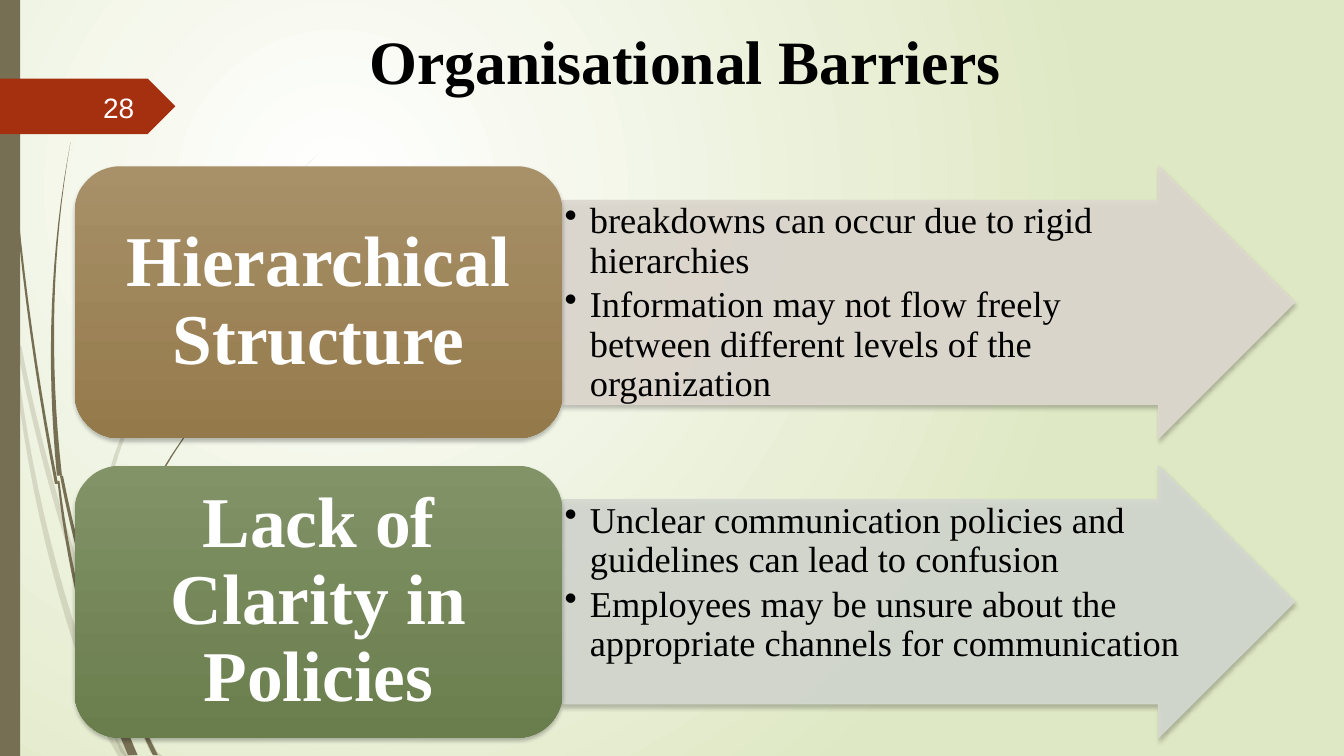
from dataclasses import dataclass

from lxml import etree
from pptx import Presentation
from pptx import util as u
from pptx.dml.color import RGBColor
from pptx.enum import shapes, text
from pptx.oxml import ns

WHITE = RGBColor(0xFF, 0xFF, 0xFF)
BLACK = RGBColor(0, 0, 0)
PALE_GREEN = RGBColor(0xDF, 0xE8, 0xC4)
OLIVE = RGBColor(0x76, 0x6F, 0x54)
RUST = RGBColor(0xA5, 0x30, 0x10)
TAN = RGBColor(0xA8, 0x90, 0x68), RGBColor(0x94, 0x7A, 0x4B)
GREEN = RGBColor(0x81, 0x93, 0x67), RGBColor(0x6A, 0x7D, 0x4D)
TAN_TINT = RGBColor(0xDF, 0xD9, 0xD0)
GREEN_TINT = RGBColor(0xD5, 0xD9, 0xD1)
SERIF = "Times New Roman"
PAGE_WIDTH, PAGE_HEIGHT = 13.33, 7.5
CURVE_STEPS = 16


@dataclass
class Strand:
    start: tuple
    bend: tuple
    end: tuple
    start_width: float
    end_width: float

    def outline(self):
        left_edge, right_edge = [], []
        for step in range(CURVE_STEPS + 1):
            t = step / CURVE_STEPS
            x, y = ((1 - t) ** 2 * a + 2 * t * (1 - t) * b + t ** 2 * c
                    for a, b, c in zip(self.start, self.bend, self.end))
            half = (self.start_width + (self.end_width - self.start_width) * t) / 2
            left_edge.append((x - half, y))
            right_edge.append((x + half, y))
        return left_edge + right_edge[::-1]


TALL_STEM = Strand((0.04, 0), (0.1, 2.4), (0.56, 4.8), 0.01, 0.03)
TALL_BLADE = Strand((0.7, 1.41), (0.41, 3.0), (0.59, 4.72), 0, 0.05)
LOWER_STEM = Strand((0.58, 4.77), (0.75, 6.25), (1.3, 7.49), 0.02, 0.06)
LOWER_BLADE = Strand((0.61, 4.72), (0.78, 5.6), (1.08, 6.45), 0.03, 0.04)
BRANCH = Strand((2.6, 3.44), (1.15, 4.85), (1.08, 6.4), 0, 0.04)
ROOT = Strand((1.08, 6.4), (1.1, 6.95), (1.34, 7.49), 0.04, 0.05)
FOOT = Strand((1.1, 6.41), (1.28, 6.97), (1.54, 7.49), 0.02, 0.05)
SPRAY = [LOWER_STEM, LOWER_BLADE, BRANCH, ROOT, FOOT]


def add_child(parent, tag, **attributes):
    return etree.SubElement(parent, ns.qn(tag), attributes)


def set_alpha(fill_owner, percent):
    for color in fill_owner.iter(ns.qn("a:srgbClr")):
        add_child(color, "a:alpha", val=str(percent * 1000))


def paint(shape, color):
    shape.fill.solid()
    shape.fill.fore_color.rgb = color
    shape.line.fill.background()
    shape.shadow.inherit = False


def set_gradient(fill, colors):
    fill.gradient()
    for stop, color in zip(fill.gradient_stops, colors):
        stop.color.rgb = color


def drop_shadow(shape):
    shape.shadow.inherit = False
    effects = shape._element.spPr.find(ns.qn("a:effectLst"))
    shadow = add_child(effects, "a:outerShdw", blurRad=str(u.Pt(3)), dist=str(u.Pt(2)),
                       dir="5400000", algn="ctr", rotWithShape="0")
    add_child(add_child(shadow, "a:srgbClr", val="000000"), "a:alpha", val="25000")


def add_preset(page, preset, box):
    return page.shapes.add_shape(preset, *map(u.Inches, box))


def add_text(page, box, lines, size, color, align, font=SERIF, bold=False,
             anchor=text.MSO_ANCHOR.TOP, margins=(0.1, 0.05), spacing=1.0):
    frame = page.shapes.add_textbox(*map(u.Inches, box)).text_frame
    frame.word_wrap = True
    frame.vertical_anchor = anchor
    frame.margin_left = frame.margin_right = u.Inches(margins[0])
    frame.margin_top = frame.margin_bottom = u.Inches(margins[1])
    frame.text = "\n".join(lines)
    for para in frame.paragraphs:
        para.alignment = align
        para.line_spacing = spacing
        para.font.name = font
        para.font.size = u.Pt(size)
        para.font.bold = bold
        para.font.color.rgb = color
    return frame


def add_bullets(frame):
    for para in frame.paragraphs:
        para.space_after = u.Pt(4)
        props = para._p.get_or_add_pPr()
        props.set("marL", str(u.Inches(0.25)))
        props.set("indent", str(u.Inches(-0.25)))
        bullet = etree.Element(ns.qn("a:buChar"), char="•")
        props.find(ns.qn("a:defRPr")).addprevious(bullet)


def add_spray(page, strands, left=0, top=0, scale=1.0, opacity=100):
    for strand in strands:
        corners = [(u.Inches(left + x * scale),
                    u.Inches(min(top + y * scale, PAGE_HEIGHT)))
                   for x, y in strand.outline()]
        builder = page.shapes.build_freeform(*corners[0])
        builder.add_line_segments(corners[1:], close=True)
        wisp = builder.convert_to_shape()
        paint(wisp, OLIVE)
        if opacity < 100:
            set_alpha(wisp._element.spPr, opacity)


def add_backdrop(page):
    set_gradient(page.background.fill, (WHITE, PALE_GREEN))
    gradient = page.element.find(".//" + ns.qn("a:gradFill"))
    gradient.remove(gradient.find(ns.qn("a:lin")))
    circle = add_child(gradient, "a:path", path="circle")
    add_child(circle, "a:fillToRect", l="50000", t="50000", r="100000", b="100000")
    add_spray(page, SPRAY, left=-0.72, top=-3.6, scale=1.49, opacity=20)
    add_spray(page, [TALL_STEM, TALL_BLADE] + SPRAY)
    stripe = add_preset(page, shapes.MSO_SHAPE.RECTANGLE, (0, 0, 0.2, PAGE_HEIGHT))
    paint(stripe, OLIVE)


def add_page_number(page, box, number):
    left, top, width, height = box
    badge = add_preset(page, shapes.MSO_SHAPE.PENTAGON, box)
    badge.adjustments[0] = 0.5
    paint(badge, RUST)
    add_text(page, (left + 0.58, top + 0.08, width - 0.89, height - 0.15), [number], 20,
             WHITE, text.PP_ALIGN.RIGHT, font="Arial", anchor=text.MSO_ANCHOR.MIDDLE)


def add_title(page, box, title):
    add_text(page, box, [title], 44, BLACK, text.PP_ALIGN.CENTER, bold=True)


def add_arrow(page, box, points, tint):
    left, top, width, height = box
    shaft = 0.75
    arrow = add_preset(page, shapes.MSO_SHAPE.RIGHT_ARROW, box)
    arrow.adjustments[0] = shaft
    paint(arrow, tint)
    arrow.line.color.rgb = tint
    arrow.line.width = u.Pt(0.75)
    set_alpha(arrow._element.spPr, 90)
    drop_shadow(arrow)
    text_box = (left, top + height * (1 - shaft) / 2, width - 1.01, height * shaft)
    add_bullets(add_text(page, text_box, points, 26, BLACK, text.PP_ALIGN.LEFT,
                         margins=(0.02, 0.02), spacing=0.9))


def add_label(page, box, heading, colors):
    left, top, width, height = box
    inset = 0.13
    label = add_preset(page, shapes.MSO_SHAPE.ROUNDED_RECTANGLE, box)
    set_gradient(label.fill, colors)
    label.fill.gradient_angle = 270
    label.line.fill.background()
    drop_shadow(label)
    text_box = (left + inset, top + inset, width - 2 * inset, height - 2 * inset)
    add_text(page, text_box, [heading], 51, WHITE, text.PP_ALIGN.CENTER, bold=True,
             anchor=text.MSO_ANCHOR.MIDDLE, margins=(0.21, 0.11), spacing=0.9)


def add_barrier(page, box, heading, points, colors, tint):
    left, top, width, height = box
    label_width = width * 0.4
    add_arrow(page, (left + label_width, top, width - label_width, height), points, tint)
    add_label(page, (left, top, label_width, height), heading, colors)


def main():
    deck = Presentation()
    deck.slide_width, deck.slide_height = u.Inches(PAGE_WIDTH), u.Inches(PAGE_HEIGHT)
    page = deck.slides.add_slide(deck.slide_layouts[6])
    add_backdrop(page)
    add_page_number(page, (0, 0.78, 1.74, 0.55), "28")
    add_title(page, (3.07, 0.18, 7.46, 0.84), "Organisational Barriers")
    barriers = [
        ("Hierarchical Structure",
         ["breakdowns can occur due to rigid hierarchies",
          "Information may not flow freely between different levels of the organization"],
         TAN, TAN_TINT),
        ("Lack of Clarity in Policies",
         ["Unclear communication policies and guidelines can lead to confusion",
          "Employees may be unsure about the appropriate channels for communication"],
         GREEN, GREEN_TINT),
    ]
    height, gap = 2.7, 0.27
    for row, barrier in enumerate(barriers):
        add_barrier(page, (0.74, 1.65 + row * (height + gap), 12.1, height), *barrier)
    deck.save("out.pptx")


if __name__ == "__main__":
    main()
